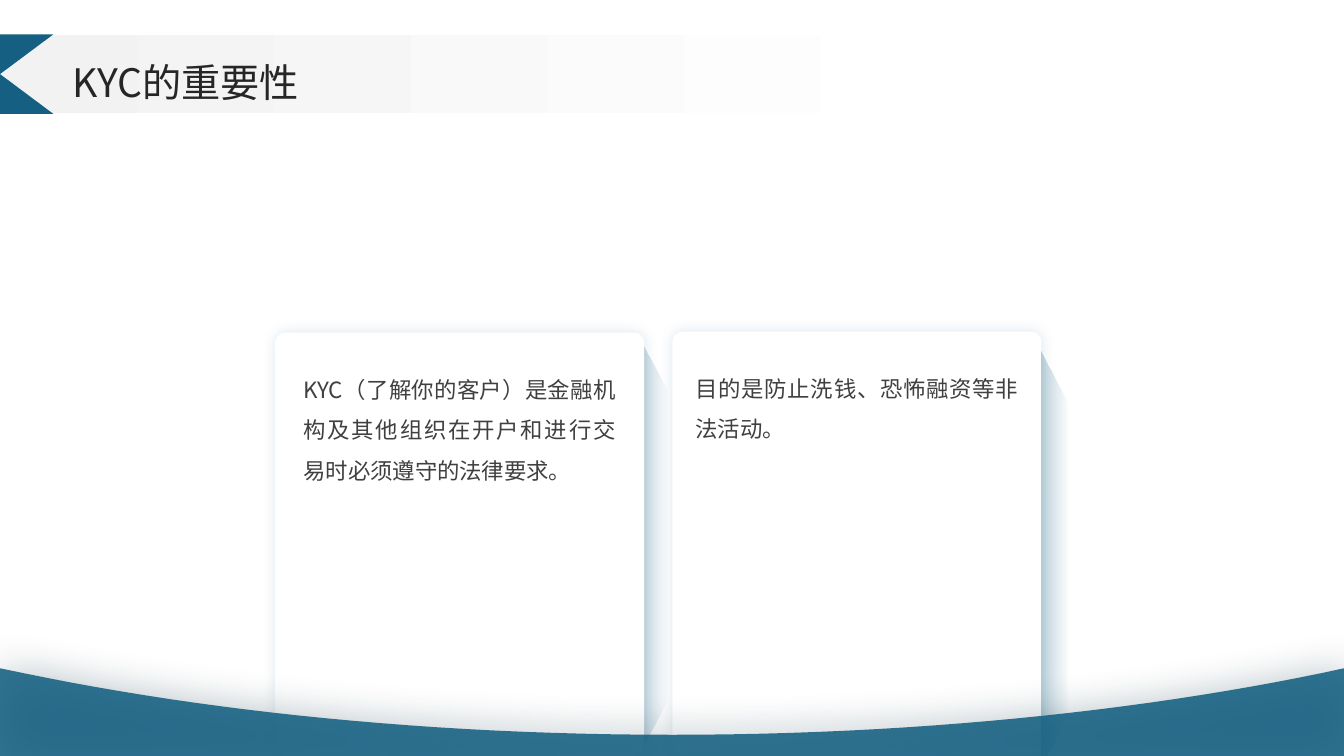
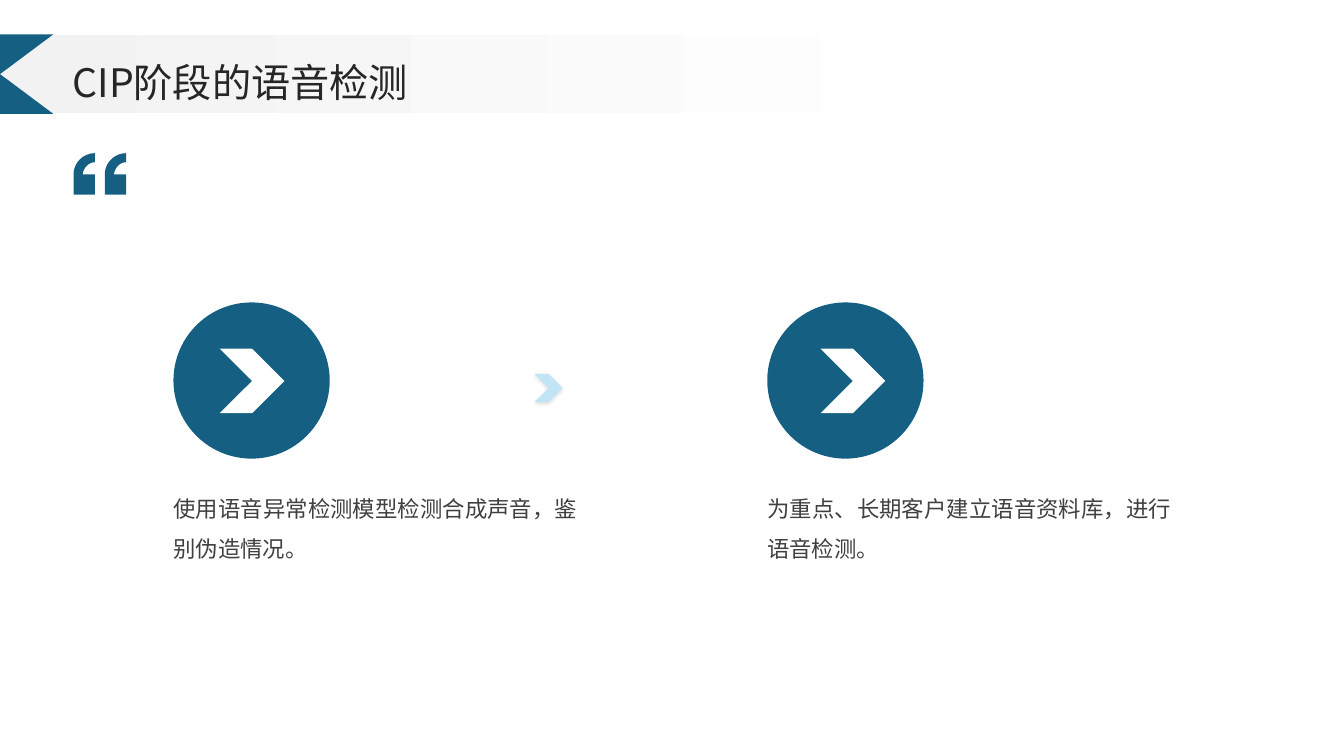
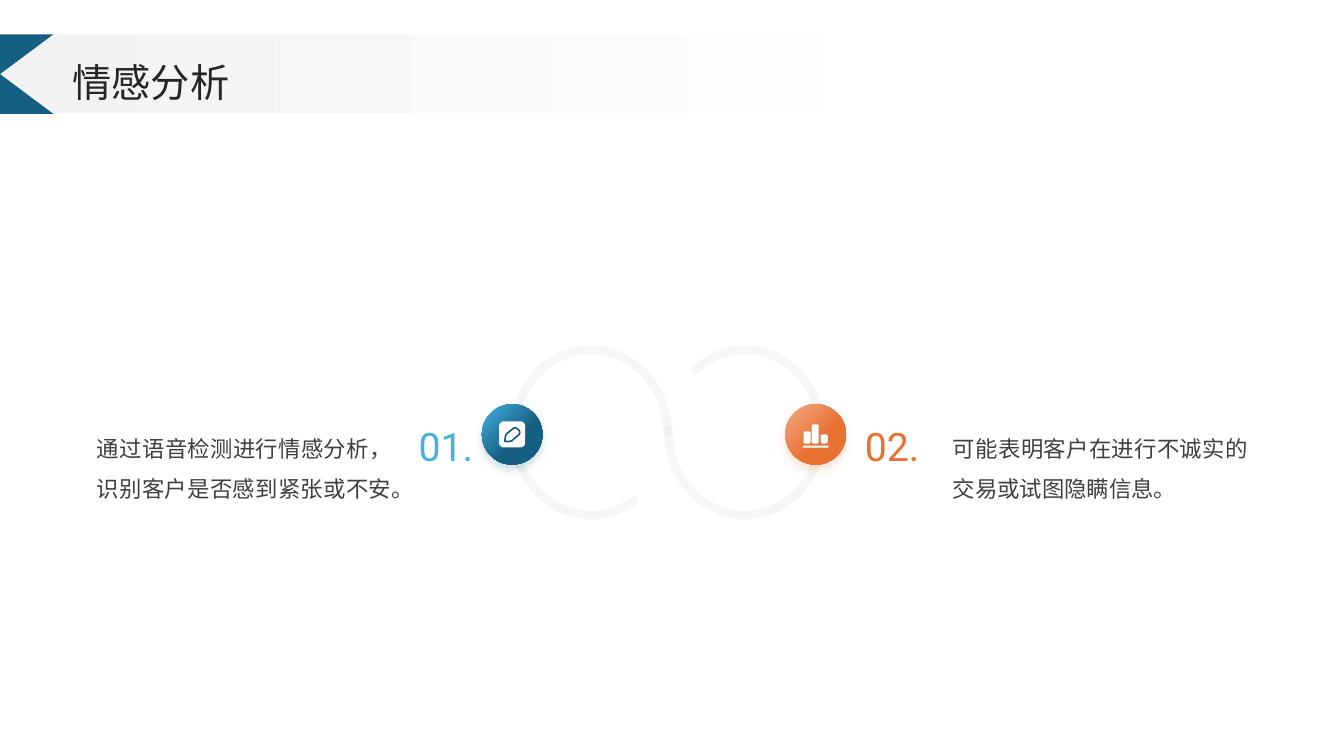
"""Three slides on customer checks and voice detection."""
from lxml import etree
from pptx import Presentation
from pptx import util as u
from pptx.dml.color import RGBColor
from pptx.enum import shapes, text
from pptx.oxml.ns import qn

COLORS = {
    "teal": "156082", "sky": "46B1E1", "pale": "C1E5F5", "navy": "0B3041",
    "orange": "E97132", "peach": "F2AA84", "white": "FFFFFF", "band": "F2F2F2",
    "ring": "BFBFBF", "title": "262626", "body": "404040", "black": "000000",
}
CJK = "Noto Sans CJK SC"
KIND = shapes.MSO_SHAPE
ALIGN = text.PP_ALIGN
TEAL_FADE = ([(0, "teal", 0), (100, "teal", 28)], 90)
TEAL_BALL = ([(0, "sky", 100), (60, "teal", 100)], 45)
ORANGE_BALL = ([(0, "peach", 100), (60, "orange", 100)], 45)
BAND = ([(0, "band", 100), (80, "white", 100)], 0)


def bezier(start, curve, steps=24):
    points = list(zip(curve[::2], curve[1::2]))
    (x0, y0), (x1, y1), (x2, y2), (x3, y3) = [start] + points
    for i in range(1, steps + 1):
        t = i / steps
        a, b, c, d = (1 - t) ** 3, 3 * t * (1 - t) ** 2, 3 * t * t * (1 - t), t ** 3
        yield a * x0 + b * x1 + c * x2 + d * x3, a * y0 + b * y1 + c * y2 + d * y3


def outline(segments):
    points = [segments[0]]
    for seg in segments[1:]:
        points.extend([seg] if len(seg) == 2 else bezier(points[-1], seg))
    return [(u.Inches(x), u.Inches(y)) for x, y in points]


class Deck:
    def __init__(self):
        self.prs = Presentation()
        self.prs.slide_width, self.prs.slide_height = u.Inches(13.33), u.Inches(7.5)
        self.slide = None

    def new_slide(self):
        self.slide = self.prs.slides.add_slide(self.prs.slide_layouts[6])

    def color(self, target, name, alpha=100):
        target.rgb = RGBColor.from_string(COLORS[name])
        return alpha

    def set_alpha(self, parent, alpha):
        if alpha < 100:
            for clr in parent.iter(qn("a:srgbClr")):
                etree.SubElement(clr, qn("a:alpha")).set("val", str(alpha * 1000))

    def paint(self, fill, style):
        if style is None:
            fill.background()
        elif isinstance(style, str):
            fill.solid()
            self.color(fill.fore_color, style)
        else:
            stops, angle = style
            fill.gradient()
            fill.gradient_angle = (360 - angle) % 360
            for stop, (position, name, alpha) in zip(fill.gradient_stops, stops):
                stop.position = position / 100
                self.color(stop.color, name)
                self.set_alpha(stop.color._xFill, alpha)

    def finish(self, sp, fill, line=None, width=1, alpha=100, shadow=None):
        self.paint(sp.fill, fill)
        self.paint(sp.line.fill, line)
        if line:
            sp.line.width = u.Pt(width)
        self.set_alpha(sp._element.spPr, alpha)
        sp.shadow.inherit = False
        if shadow:
            name, opacity, blur, dist, angle = shadow
            effects = sp._element.spPr.find(qn("a:effectLst"))
            outer = etree.SubElement(effects, qn("a:outerShdw"), {
                "blurRad": str(u.Pt(blur)), "dist": str(u.Pt(dist)),
                "dir": str(angle * 60000), "algn": "ctr", "rotWithShape": "0"})
            clr = etree.SubElement(outer, qn("a:srgbClr"), val=COLORS[name])
            etree.SubElement(clr, qn("a:alpha")).set("val", str(opacity * 1000))
        return sp

    def shape(self, kind, x, y, w, h, fill, adj=(), rot=0, **style):
        sp = self.slide.shapes.add_shape(kind, *map(u.Inches, (x, y, w, h)))
        for i, value in enumerate(adj):
            sp.adjustments[i] = value
        sp.rotation = rot
        return self.finish(sp, fill, **style)

    def freeform(self, contours, fill, **style):
        first, *rest = [outline(c) for c in contours]
        fb = self.slide.shapes.build_freeform(*first[0], scale=1.0)
        fb.add_line_segments(first[1:], close=True)
        for points in rest:
            fb.move_to(*points[0])
            fb.add_line_segments(points[1:], close=True)
        return self.finish(fb.convert_to_shape(), fill, **style)

    def text(self, words, x, y, w, h, size=16, fill="body", font=CJK,
             align=ALIGN.JUSTIFY, spacing=1.5, inset=(0, 0),
             anchor=text.MSO_ANCHOR.TOP):
        tf = self.slide.shapes.add_textbox(*map(u.Inches, (x, y, w, h))).text_frame
        tf.word_wrap = True
        tf.vertical_anchor = anchor
        tf.margin_left = tf.margin_right = u.Inches(inset[0])
        tf.margin_top = tf.margin_bottom = u.Inches(inset[1])
        p = tf.paragraphs[0]
        p.alignment, p.line_spacing = align, spacing
        r = p.add_run()
        r.text = words
        r.font.size, r.font.name = u.Pt(size), font
        self.paint(r.font.fill, fill)
        etree.SubElement(r._r.rPr, qn("a:ea")).set("typeface", font)

    def title(self, words):
        self.shape(KIND.RECTANGLE, 0, 0.35, 11.88, 0.77, BAND)
        self.shape(KIND.FLOWCHART_COLLATE, -0.53, 0.34, 1.06, 0.79, "teal")
        self.text(words, 0.72, 0.53, 11.88, 0.51, 28, "title", align=ALIGN.LEFT,
                  spacing=1.1, anchor=text.MSO_ANCHOR.MIDDLE)

    def side_shade(self, x, y):
        self.shape(KIND.TRAPEZOID, x, y, 4.13, 0.28, TEAL_FADE, [1.969], 90)

    def card(self, x, y):
        self.shape(KIND.ROUNDED_RECTANGLE, x, y, 3.66, 4.2, "white", [0.029],
                   shadow=("teal", 15, 10, 0, 0))

    def ball(self, x, fill, glow):
        self.shape(KIND.OVAL, x, 4.01, 0.6, 0.6, fill, shadow=(glow, 20, 6, 4, 90))

    def ring(self, x, adj):
        return self.shape(KIND.ARC, x, 3.53, 1.64, 1.52, None, adj, 270,
                          line="ring", width=6, alpha=13)


def importance(d):
    d.new_slide()
    d.side_shade(4.42, 5.27)
    d.card(2.73, 3.3)
    d.text("KYC（了解你的客户）是金融机构及其他组织在开户和进行交易时必须遵守的法律要求。",
           3.01, 3.6, 3.1, 3)
    d.card(6.67, 3.29)
    d.text("目的是防止洗钱、恐怖融资等非法活动。", 6.9, 3.59, 3.2, 3.1)
    d.side_shade(8.4, 5.41)
    d.freeform([[(0, 6.63), (0.24, 6.68), (2.07, 7.06, 4.28, 7.29, 6.67, 7.29),
                 (9.05, 7.29, 11.26, 7.06, 13.1, 6.68), (13.33, 6.63),
                 (13.33, 7.5), (0, 7.5)]],
               "teal", alpha=88, shadow=("navy", 40, 32, 3, 45))
    d.title("KYC的重要性")


def voice_check(d):
    d.new_slide()
    steps = [(1.72, 2.18, "使用语音异常检测模型检测合成声音，鉴别伪造情况。"),
             (7.61, 8.14, "为重点、长期客户建立语音资料库，进行语音检测。")]
    for x, arrow_x, words in steps:
        d.shape(KIND.OVAL, x, 3, 1.55, 1.55, "teal")
        d.shape(KIND.CHEVRON, arrow_x, 3.46, 0.64, 0.64, "white")
        d.text(words, x, 4.74, 4.01, 1.76, inset=(0, 0.04))
    d.shape(KIND.CHEVRON, 5.3, 3.71, 0.28, 0.28, "pale",
            shadow=("black", 15, 3, 1, 90))
    d.freeform([[(x + 0.21, 1.52), (x + 0.21, 1.61),
                 (x + 0.15, 1.61, x + 0.1, 1.66, x + 0.09, 1.73),
                 (x + 0.21, 1.73), (x + 0.21, 1.93), (x, 1.93), (x, 1.73),
                 (x, 1.61, x + 0.1, 1.52, x + 0.21, 1.52)]
                for x in (0.73, 1.04)], "teal")
    d.title("CIP阶段的语音检测")


def emotion(d):
    d.new_slide()
    d.ring(5.04, [88.453, 53.888])
    right_ring = d.ring(6.57, [52.506, 23.391])
    right_ring._element.spPr.find(qn("a:xfrm")).set("flipV", "1")
    for ring in d.slide.shapes:
        ln = ring._element.spPr.find(qn("a:ln"))
        ln.set("cap", "rnd")

    d.ball(4.78, TEAL_BALL, "teal")
    d.shape(KIND.ROUNDED_RECTANGLE, 4.95, 4.18, 0.26, 0.26, "white", [0.18])
    d.freeform([[(5.01, 4.38), (5.01, 4.35, 5.01, 4.32, 5.03, 4.3), (5.08, 4.26),
                 (5.1, 4.24, 5.12, 4.24, 5.14, 4.26),
                 (5.16, 4.28, 5.16, 4.3, 5.14, 4.32), (5.09, 4.36),
                 (5.08, 4.38, 5.05, 4.38, 5.01, 4.38)]], None, line="teal", width=1.2)

    d.ball(7.79, ORANGE_BALL, "orange")
    for x, y, h in [(7.97, 4.28, 0.12), (8.05, 4.21, 0.19), (8.14, 4.31, 0.09)]:
        d.shape(KIND.ROUNDED_RECTANGLE, x, y, 0.07, h, "white", [0.25])
    d.shape(KIND.ROUNDED_RECTANGLE, 7.96, 4.42, 0.26, 0.02, "white", [0.5])

    number = dict(size=28, font="Roboto", spacing=1.1, inset=(0.1, 0.05))
    d.text("01.", 4.01, 4.09, 0.78, 0.53, fill=TEAL_BALL, align=ALIGN.RIGHT, **number)
    d.text("02.", 8.48, 4.09, 0.84, 0.53, fill="orange", align=ALIGN.LEFT, **number)
    for x, words in [(9.33, "可能表明客户在进行不诚实的交易或试图隐瞒信息。"),
                     (0.84, "通过语音检测进行情感分析，识别客户是否感到紧张或不安。")]:
        d.text(words, x, 4.06, 3.17, 1, inset=(0.12, 0.12))
    d.title("情感分析")


def main():
    deck = Deck()
    for build in (importance, voice_check, emotion):
        build(deck)
    deck.prs.save("out.pptx")


if __name__ == "__main__":
    main()
